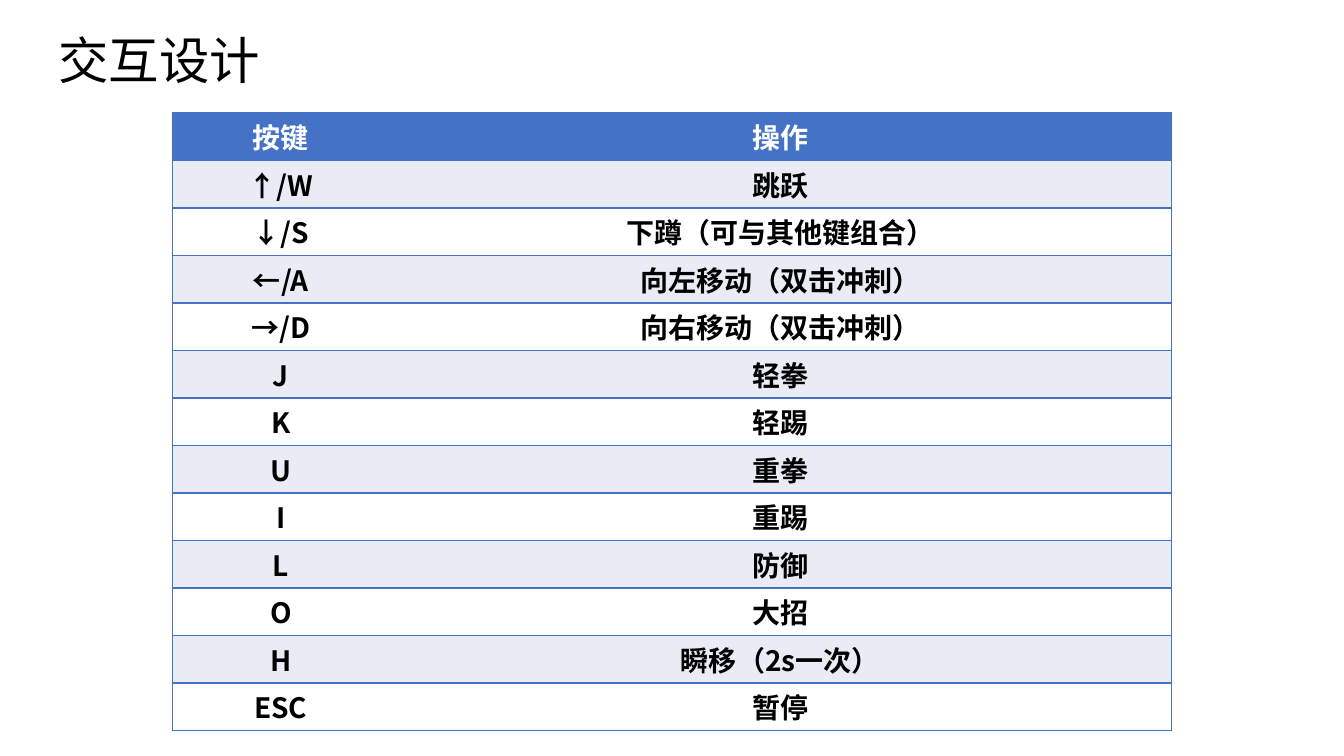
import pptx
import pptx.util
import pptx.dml.color
import pptx.enum.text
import pptx.oxml.ns
from lxml import etree

BLUE = pptx.dml.color.RGBColor(0x44, 0x72, 0xC4)
PALE = pptx.dml.color.RGBColor(0xE9, 0xEB, 0xF5)
WHITE = pptx.dml.color.RGBColor(0xFF, 0xFF, 0xFF)
BLACK = pptx.dml.color.RGBColor(0x00, 0x00, 0x00)
FONT = "Noto Sans CJK SC"
NO_GRID_STYLE = "{2D5ABB26-0587-4C30-8999-92F81FD0307C}"
inch = pptx.util.Inches
qn = pptx.oxml.ns.qn

CONTROLS = [
    ("按键", "操作"),
    ("↑/W", "跳跃"),
    ("↓/S", "下蹲（可与其他键组合）"),
    ("←/A", "向左移动（双击冲刺）"),
    ("→/D", "向右移动（双击冲刺）"),
    ("J", "轻拳"),
    ("K", "轻踢"),
    ("U", "重拳"),
    ("I", "重踢"),
    ("L", "防御"),
    ("O", "大招"),
    ("H", "瞬移（2s一次）"),
    ("ESC", "暂停"),
]
COLUMN_WIDTHS = [2.15, 7.76]
TABLE_HEIGHT = 6.13
CELL_FORMAT = {
    "margin_left": inch(0.07),
    "margin_right": inch(0.07),
    "margin_top": 0,
    "margin_bottom": 0,
    "vertical_anchor": pptx.enum.text.MSO_ANCHOR.MIDDLE,
}


def write_text(para, text, size, color, bold, alignment):
    para.alignment = alignment
    span = para.add_run()
    span.text = text
    font_format = {"name": FONT, "size": pptx.util.Pt(size), "bold": bold}
    for name, value in font_format.items():
        setattr(span.font, name, value)
    span.font.color.rgb = color
    etree.SubElement(span._r.get_or_add_rPr(), qn("a:ea"), typeface=FONT)


def draw_borders(cell, sides):
    properties = cell._tc.get_or_add_tcPr()
    for place, side in enumerate(sides):
        line = etree.Element(qn("a:ln" + side), w=str(pptx.util.Pt(1)))
        fill = etree.SubElement(line, qn("a:solidFill"))
        etree.SubElement(fill, qn("a:srgbClr"), val=str(BLUE))
        properties.insert(place, line)


deck = pptx.Presentation()
deck.slide_width = inch(13.33)
deck.slide_height = inch(7.5)
page = deck.slides.add_slide(deck.slide_layouts[5])

title = page.shapes.title
title_place = {"left": 0.48, "top": 0.23, "width": 2.42, "height": 0.71}
for name, value in title_place.items():
    setattr(title, name, inch(value))
title_frame = title.text_frame
title_frame.word_wrap = False
title_frame.auto_size = pptx.enum.text.MSO_AUTO_SIZE.NONE
title_frame.vertical_anchor = pptx.enum.text.MSO_ANCHOR.MIDDLE
write_text(title_frame.paragraphs[0], "交互设计", 36, BLACK, False,
           pptx.enum.text.PP_ALIGN.LEFT)

frame = page.shapes.add_table(
    len(CONTROLS), len(COLUMN_WIDTHS), inch(1.71), inch(1.12),
    inch(sum(COLUMN_WIDTHS)), inch(TABLE_HEIGHT))
table = frame.table
table._tbl.tblPr.find(qn("a:tableStyleId")).text = NO_GRID_STYLE
for column, width in zip(table.columns, COLUMN_WIDTHS):
    column.width = inch(width)

for row_index, labels in enumerate(CONTROLS):
    table.rows[row_index].height = inch(TABLE_HEIGHT / len(CONTROLS))
    is_header = row_index == 0
    background = BLUE if is_header else PALE if row_index % 2 else WHITE
    for column_index, label in enumerate(labels):
        cell = table.cell(row_index, column_index)
        for name, value in CELL_FORMAT.items():
            setattr(cell, name, value)
        cell.fill.solid()
        cell.fill.fore_color.rgb = background
        draw_borders(cell, "RTB" if column_index else "LTB")
        write_text(cell.text_frame.paragraphs[0], label, 20,
                   WHITE if is_header else BLACK, True,
                   pptx.enum.text.PP_ALIGN.CENTER)

deck.save("out.pptx")
